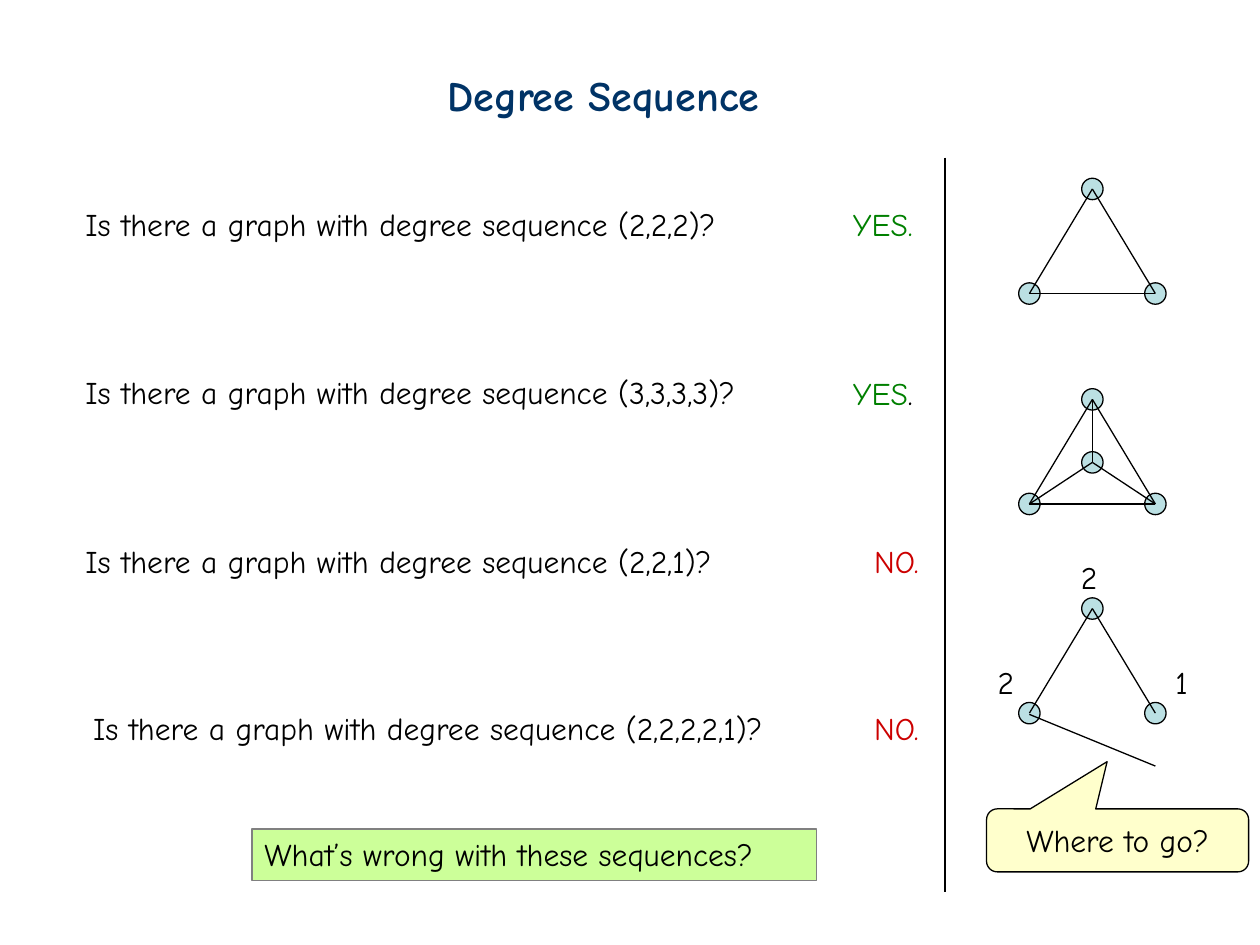
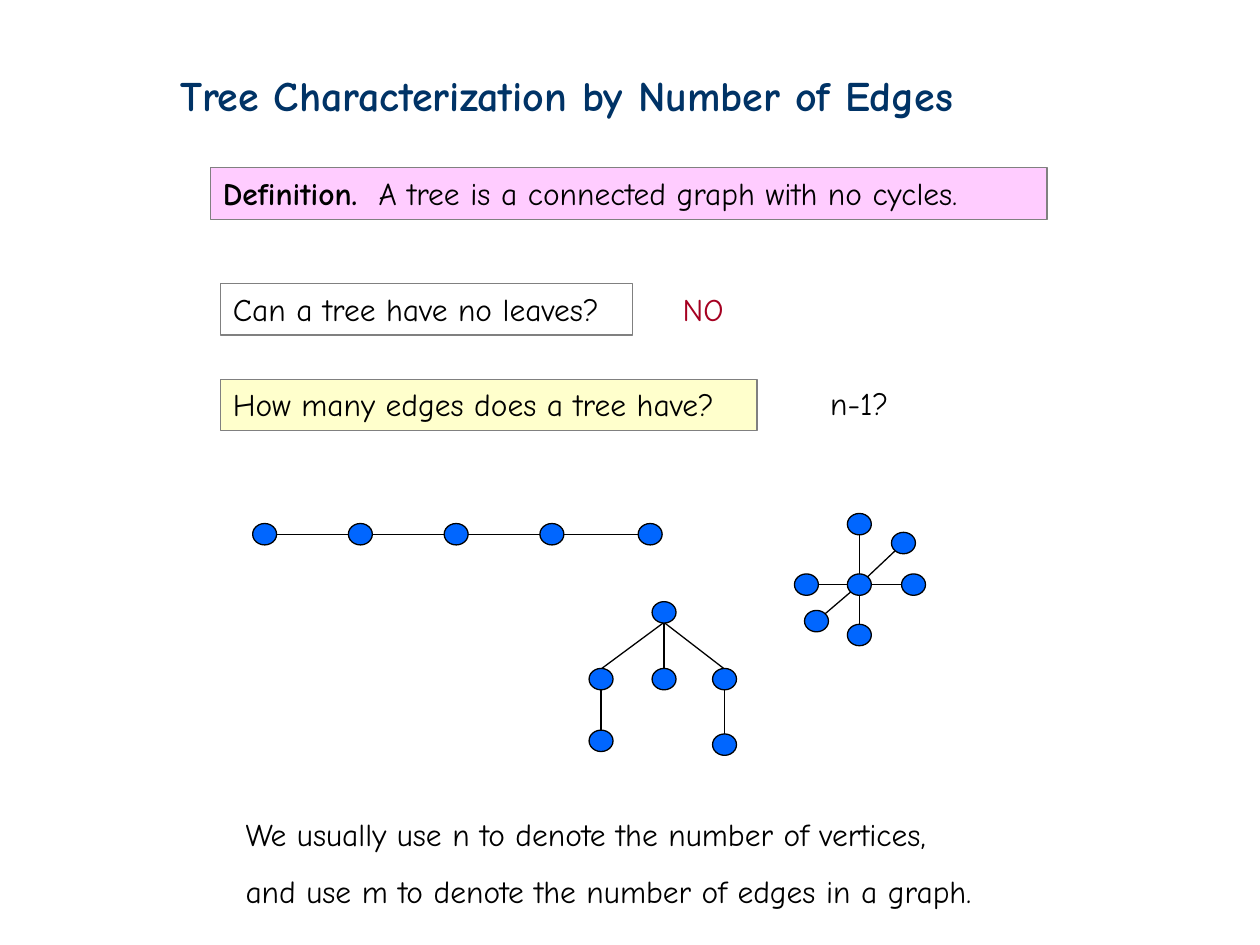
from dataclasses import dataclass
from typing import NamedTuple

from lxml import etree
from pptx import Presentation
from pptx.dml.color import RGBColor
from pptx.enum.shapes import MSO_CONNECTOR as Connector, MSO_SHAPE as Preset
from pptx.enum.text import MSO_ANCHOR as Anchor, MSO_AUTO_SIZE as AutoSize, PP_ALIGN as Align
from pptx.oxml.ns import qn
from pptx.util import Emu, Pt

# Shared look; 100 px make one inch
PX = 9144
FONT = "Comic Neue"
BLACK, NAVY, GREY = "000000", "003366", "808080"
GREEN, RED, CRIMSON = "008000", "CC0000", "A50021"
PALE_TEAL, BLUE = "BBE0E3", "0066FF"
LIME, PINK, CREAM = "CCFF99", "FFCCFF", "FFFFCC"
LINE_WIDTH = Pt(0.75)
BOX_FORMAT = {"word_wrap": True, "auto_size": AutoSize.NONE, "vertical_anchor": Anchor.TOP}


class Point(NamedTuple):
    x: int
    y: int


class Span(NamedTuple):
    text: str
    color: str = BLACK
    bold: bool = False


class Area(NamedTuple):
    left: int
    top: int
    width: int
    height: int = 40


class Question(NamedTuple):
    left: int
    width: int
    degrees: str
    answer_area: tuple[int, int]
    answer: list[Span]


@dataclass
class Graph:
    nodes: list[Point]
    edges: list[tuple[int, int]]
    color: str = BLUE
    width: int = 19
    height: int = 17
    edges_on_top: bool = False
    hanging: bool = False  # edges run from a parent's bottom to a child's top


def px(length: int) -> Emu:
    return Emu(length * PX)


def rgb(color: str) -> RGBColor:
    return RGBColor.from_string(color)


def set_all(target, values: dict) -> None:
    for name, value in values.items():
        setattr(target, name, value)


def outline(shape, fill: str | None, line: str) -> None:
    if fill:
        shape.fill.solid()
        shape.fill.fore_color.rgb = rgb(fill)
    shape.line.color.rgb = rgb(line)
    shape.line.width = LINE_WIDTH


def write(frame, paragraphs: list[list[Span]], size: int = 18, align=Align.LEFT, **changes) -> None:
    set_all(frame, BOX_FORMAT | changes)
    for number, spans in enumerate(paragraphs):
        para = frame.add_paragraph() if number else frame.paragraphs[0]
        para.alignment = align
        if number:
            para.line_spacing = 1.5
        for span in spans:
            run = para.add_run()
            run.text = span.text
            set_all(run.font, {"name": FONT, "size": Pt(size), "bold": span.bold})
            run.font.color.rgb = rgb(span.color)


def add_text(page, area: Area, *paragraphs: list[Span], fill: str | None = None,
             line: str | None = None) -> None:
    box = page.shapes.add_textbox(*map(px, area))
    write(box.text_frame, list(paragraphs))
    if line:
        outline(box, fill, line)


def add_page(deck, title: str, area: Area):
    page = deck.slides.add_slide(deck.slide_layouts[5])
    heading = page.shapes.title
    set_all(heading, dict(zip(area._fields, map(px, area))))
    write(heading.text_frame, [[Span(title, NAVY, True)]], size=24)
    return page


def add_line(page, start: Point, end: Point) -> None:
    line = page.shapes.add_connector(Connector.STRAIGHT, *map(px, (*start, *end)))
    line.line.color.rgb = rgb(BLACK)
    line.line.width = LINE_WIDTH
    etree.SubElement(line._element.spPr, qn("a:effectLst"))


def add_nodes(page, graph: Graph) -> None:
    width, height = px(graph.width), px(graph.height)
    for node in graph.nodes:
        oval = page.shapes.add_shape(Preset.OVAL, px(node.x) - width // 2,
                                     px(node.y) - height // 2, width, height)
        oval.shadow.inherit = False
        outline(oval, graph.color, BLACK)


def add_edges(page, graph: Graph) -> None:
    drop = graph.height // 2 if graph.hanging else 0
    for first, second in graph.edges:
        start, end = graph.nodes[first], graph.nodes[second]
        add_line(page, Point(start.x, start.y + drop), Point(end.x, end.y - drop))


def add_graph(page, graph: Graph) -> None:
    steps = [add_edges, add_nodes]
    for step in reversed(steps) if graph.edges_on_top else steps:
        step(page, graph)


def degree_sequence(deck) -> None:
    page = add_page(deck, "Degree Sequence", Area(345, 50, 296, 50))

    # Questions and answers
    yes, no = (667, 75), (684, 66)
    questions = [
        Question(58, 570, "2,2,2", yes, [Span("YES.", GREEN)]),
        Question(58, 593, "3,3,3,3", yes, [Span("YES", GREEN), Span(".")]),
        Question(58, 566, "2,2,1", no, [Span("NO.", RED)]),
        Question(64, 611, "2,2,2,2,1", no, [Span("NO.", RED)]),
    ]
    for row, question in enumerate(questions):
        top = 158 + round(row * 400 / 3)
        text = f"Is there a graph with degree sequence ({question.degrees})?"
        add_text(page, Area(question.left, top, question.width), [Span(text)])
        left, width = question.answer_area
        add_text(page, Area(left, top + row % 3 // 1 * (row < 3) // 1 if row == 1 else top,
                            width), question.answer)

    # Triangles; the second has a middle node, the third lacks its base
    for top, has_middle, has_base in ((150, False, True), (317, True, True), (483, False, False)):
        nodes = [Point(867, top), Point(817, top + 83), Point(917, top + 83)]
        edges = [(1, 0), (0, 2)]
        if has_base:
            edges.append((1, 2))
        if has_middle:
            nodes.append(Point(867, top + 50))
            edges += [(0, 3), (3, 1), (3, 2)]
        add_graph(page, Graph(nodes, edges, PALE_TEAL, width=17, edges_on_top=True))

    # Degrees of the third graph and its loose edge
    for left, top, degree in ((848, 438, "2"), (923, 521, "1"), (782, 521, "2")):
        add_text(page, Area(left, top, 35), [Span(degree)])
    add_line(page, Point(817, 567), Point(917, 608))

    # Callout, closing question and divider
    callout = page.shapes.add_shape(Preset.ROUNDED_RECTANGULAR_CALLOUT,
                                    *map(px, Area(783, 642, 208, 50)))
    callout.shadow.inherit = False
    for index, value in enumerate((-0.04, -1.25, 0.17)):
        callout.adjustments[index] = value
    outline(callout, CREAM, BLACK)
    write(callout.text_frame, [[Span("Where to go?")]], align=Align.CENTER,
          vertical_anchor=Anchor.MIDDLE)
    add_text(page, Area(200, 658, 448, 41), [Span("What’s wrong with these sequences?")],
             fill=LIME, line=GREY)
    add_line(page, Point(750, 125), Point(750, 708))


def tree_edges(deck) -> None:
    page = add_page(deck, "Tree Characterization by Number of Edges", Area(133, 50, 725, 50))

    # Definition, questions and answers
    add_text(page, Area(167, 133, 664, 41),
             [Span("Definition.", bold=True), Span("  A tree is a connected graph with no cycles.")],
             fill=PINK, line=GREY)
    add_text(page, Area(175, 225, 327, 41), [Span("Can a tree have no leaves?")], line=GREY)
    add_text(page, Area(532, 225, 60), [Span("NO", CRIMSON)])
    add_text(page, Area(175, 301, 426, 41), [Span("How many edges does a tree have?")],
             fill=CREAM, line=GREY)
    add_text(page, Area(649, 300, 68), [Span("n-1?")])

    # Path, star and rooted tree
    path_nodes = [Point(x, 424) for x in (210, 286, 362, 438, 516)]
    add_graph(page, Graph(path_nodes, [(i, i + 1) for i in range(4)]))
    star_nodes = [Point(682, 464), Point(682, 416), Point(717, 431), Point(725, 464),
                  Point(682, 504), Point(648, 493), Point(640, 464)]
    add_graph(page, Graph(star_nodes, [(0, leaf) for leaf in range(1, 7)]))
    tree_nodes = [Point(527, 486), Point(477, 539), Point(527, 539), Point(575, 539),
                  Point(477, 588), Point(575, 591)]
    add_graph(page, Graph(tree_nodes, [(0, 1), (0, 2), (0, 3), (1, 4), (3, 5)], hanging=True))

    # Notation
    add_text(page, Area(185, 642, 631, 85),
             [Span("We usually use n to denote the number of vertices,")],
             [Span("and use m to denote the number of edges in a graph.")])


def main() -> None:
    deck = Presentation()
    deck.slide_width, deck.slide_height = px(1000), px(750)
    degree_sequence(deck)
    tree_edges(deck)
    deck.save("out.pptx")


if __name__ == "__main__":
    main()
